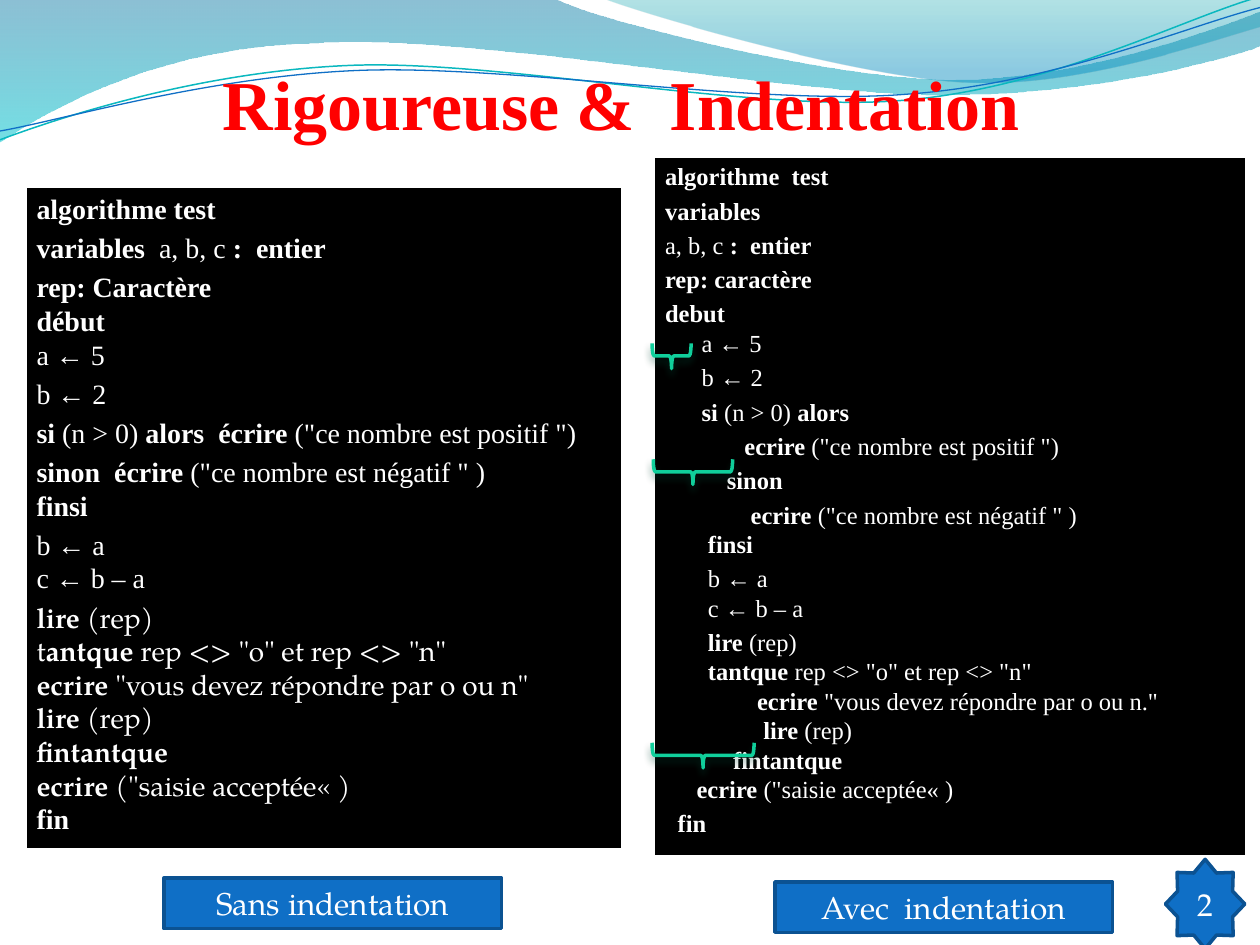
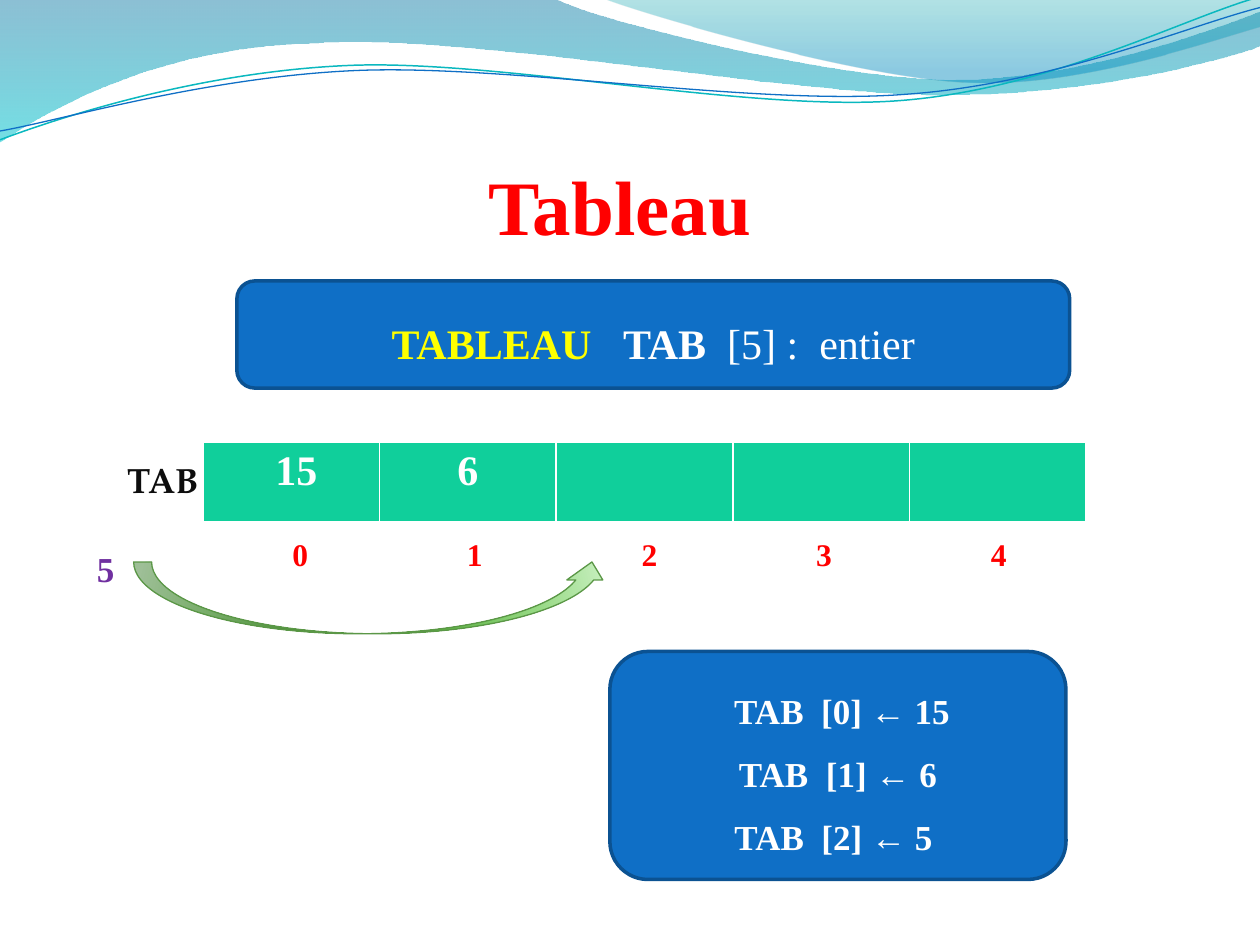
from typing import NamedTuple

from lxml.etree import SubElement
from pptx import Presentation
from pptx.dml.color import RGBColor
from pptx.enum.shapes import MSO_SHAPE
from pptx.enum.text import MSO_ANCHOR, MSO_AUTO_SIZE, PP_ALIGN
from pptx.oxml.ns import qn
from pptx.util import Inches, Pt

SERIF = "Times New Roman"
PAGELLA = "TeX Gyre Pagella"
WHITE, BLACK, RED, YELLOW = "FFFFFF", "000000", "FF0000", "FFFF00"
BLUE, DARK_BLUE, GREEN, PURPLE = "0F6FC6", "0B5292", "10CF9B", "7030A0"
LINE_FACTOR = 1.2


class CodeLine(NamedTuple):
    """One line of code; * switches bold on and off, gap adds space above."""
    text: str
    gap: bool = True
    indent: float = 0
    font: str = SERIF


UNINDENTED_CODE = [
    CodeLine("*algorithme test*"),
    CodeLine("*variables*  a, b, c *:  entier*"),
    CodeLine("*rep: Caractère*"),
    CodeLine("*début*", False),
    CodeLine("a ← 5", False),
    CodeLine("b ← 2"),
    CodeLine('*si* (n > 0) *alors  écrire* ("ce nombre est positif ")'),
    CodeLine('*sinon  écrire* ("ce nombre est négatif " )'),
    CodeLine("*finsi*", False),
    CodeLine("b ← a"),
    CodeLine("c ← b – a", False),
    CodeLine("*lire* (rep)", font=PAGELLA),
    CodeLine('t*antque* rep <> "o" et rep <> "n"', False, font=PAGELLA),
    CodeLine('*ecrire* "vous devez répondre par o ou n"', False, font=PAGELLA),
    CodeLine("*lire* (rep)", False, font=PAGELLA),
    CodeLine("*fintantque*", False, font=PAGELLA),
    CodeLine('*ecrire* ("saisie acceptée« )', False, font=PAGELLA),
    CodeLine("*fin*", False),
]

INDENTED_CODE = [
    CodeLine("*algorithme  test*"),
    CodeLine("*variables*"),
    CodeLine("a, b, c *:  entier*"),
    CodeLine("*rep: caractère*"),
    CodeLine("*debut*"),
    CodeLine("a ← 5", False, 0.29),
    CodeLine("b ← 2", True, 0.29),
    CodeLine("*si* (n > 0) *alors*", True, 0.29),
    CodeLine('*ecrire* ("ce nombre est positif ")', True, 0.63),
    CodeLine("*sinon*", True, 0.49),
    CodeLine('*ecrire* ("ce nombre est négatif " )', True, 0.68),
    CodeLine("*finsi*", False, 0.34),
    CodeLine("b ← a", True, 0.34),
    CodeLine("c ← b – a", False, 0.34),
    CodeLine("*lire* (rep)", True, 0.34),
    CodeLine('*tantque* rep <> "o" et rep <> "n"', False, 0.34),
    CodeLine('*ecrire* "vous devez répondre par o ou n."', False, 0.73),
    CodeLine("*lire* (rep)", False, 0.78),
    CodeLine("*fintantque*", False, 0.54),
    CodeLine('*ecrire* ("saisie acceptée« )', False, 0.25),
    CodeLine("*fin*", True, 0.1),
]


# Shared formatting
def color(value):
    return RGBColor.from_string(value)


def place(shape, box):
    shape.left, shape.top, shape.width, shape.height = map(Inches, box)


def format_run(run, size, value, font=SERIF, bold=False):
    run.font.name, run.font.size, run.font.bold = font, Pt(size), bold
    run.font.color.rgb = color(value)


def format_runs(paragraph, *style, **options):
    for run in paragraph.runs:
        format_run(run, *style, **options)


def paint(shape, fill=None, line=None, width=1):
    shape.shadow.inherit = False
    if fill:
        shape.fill.solid()
        shape.fill.fore_color.rgb = color(fill)
    else:
        shape.fill.background()
    if line:
        shape.line.color.rgb = color(line)
        shape.line.width = Pt(width)
    else:
        shape.line.fill.background()


def add_color(parent, value, opacity=100):
    element = SubElement(parent, qn("a:srgbClr"), val=value)
    SubElement(element, qn("a:alpha"), val=str(opacity * 1000))


def add_shadow(shape, value):
    effects = shape.element.spPr.find(qn("a:effectLst"))
    shadow = SubElement(effects, qn("a:outerShdw"), blurRad=str(Pt(4.5)),
                        dist=str(Pt(3)), dir="5400000", rotWithShape="0")
    add_color(shadow, value, 48)


def fill_gradient(shape, stops, circle=None):
    """Fill downwards, or around the circle rectangle when one is given."""
    shape.fill.background()
    properties = shape.element.spPr
    gradient = SubElement(properties, qn("a:gradFill"), rotWithShape="1")
    stop_list = SubElement(gradient, qn("a:gsLst"))
    for position, value, opacity in stops:
        stop = SubElement(stop_list, qn("a:gs"), pos=str(position * 1000))
        add_color(stop, value, opacity)
    if circle:
        around = SubElement(gradient, qn("a:path"), {"path": "circle"})
        edges = {side: str(part * 1000) for side, part in zip("ltrb", circle)}
        SubElement(around, qn("a:fillToRect"), edges)
    else:
        SubElement(gradient, qn("a:lin"), ang="5400000", scaled="1")
    properties.replace(properties.find(qn("a:noFill")), gradient)


def add_panel(slide, kind, box, fill, line, width):
    shape = slide.shapes.add_shape(kind, *map(Inches, box))
    paint(shape, fill, line, width)
    shape.text_frame.word_wrap = True
    return shape


def set_title(slide, text, box, size):
    title = slide.shapes.title
    place(title, box)
    frame = title.text_frame
    frame.text = text
    frame.auto_size = MSO_AUTO_SIZE.NONE
    frame.vertical_anchor = MSO_ANCHOR.BOTTOM
    frame.margin_left = frame.margin_right = frame.margin_bottom = 0
    frame.paragraphs[0].alignment = PP_ALIGN.CENTER
    format_runs(frame.paragraphs[0], size, RED, bold=True)


# Waves of the master
def add_outline(slide, start, segments, close):
    """Draw lines (2 numbers) and Bezier curves (6 numbers) from start."""
    points = [pair for segment in segments for pair in zip(segment[::2], segment[1::2])]
    hundredths = [(round(x * 100), round(y * 100)) for x, y in [start, *points]]
    builder = slide.shapes.build_freeform(*hundredths[0], scale=Inches(0.01))
    builder.add_line_segments(hundredths[1:], close=close)
    shape = builder.convert_to_shape()
    # Join the three points of each curve into one Bezier segment
    lines = iter(list(shape.element.iter(qn("a:lnTo"))))
    for segment in segments:
        members = [next(lines) for _ in range(len(segment) // 2)]
        if len(members) == 3:
            outline = members[0].getparent()
            curve = SubElement(outline, qn("a:cubicBezTo"))
            outline.replace(members[0], curve)
            curve.append(members[0][0])
            for member in members[1:]:
                curve.append(member[0])
                outline.remove(member)
    return shape


def add_master_waves(presentation, slide):
    bands = [
        ((0, 0), [(4.4, -0.01), (4.76, 0.17, 6.64, 0.63, 7.58, 0.63),
                  (8.53, 0.63, 9.58, 0.26, 10, 0.09), (10.01, 0.36),
                  (9.83, 0.44, 8.7, 0.76, 7.46, 0.75),
                  (6.22, 0.75, 3.82, 0.28, 2.57, 0.34),
                  (1.29, 0.36, 0.46, 0.83, -0.01, 1.13), (0, 0)],
         [(0, "0074A1", 45), (100, "00C6CF", 55)]),
        ((4.79, -0.01), [(5.09, 0.11, 6.82, 0.62, 7.69, 0.65),
                         (8.56, 0.69, 9.61, 0.32, 10, 0.21), (10, 0), (4.79, -0.01)],
         [(0, "00A1A9", 30), (80, "008BBF", 45)]),
    ]
    curves = [
        ((0, 1.11), [(0.48, 0.93, 1.58, 0.57, 2.77, 0.52),
                     (3.95, 0.47, 5.93, 0.89, 7.13, 0.8),
                     (8.33, 0.71, 9.38, 0.15, 9.98, -0.02)], "0AB8BF", 0.85),
        ((0, 1.04), [(0.47, 0.96, 1.64, 0.61, 2.83, 0.56),
                     (4.03, 0.51, 5.97, 0.84, 7.17, 0.75),
                     (8.36, 0.67, 9.41, 0.21, 10, 0.06)], BLUE, 0.75),
    ]
    waves = []
    for start, segments, stops in bands:
        band = add_outline(slide, start, segments, True)
        paint(band)
        fill_gradient(band, stops)
        waves.append(band)
    for start, segments, value, width in curves:
        curve = add_outline(slide, start, segments, False)
        paint(curve, line=value, width=width)
        waves.append(curve)
    # The master cannot draw freeforms itself, so they move there
    master_tree = presentation.slide_master.shapes.element
    for position, wave in enumerate(waves, start=2):
        master_tree.insert(position, wave.element)


# Slide 1: code with and without indentation
def start_code_paragraph(paragraph, line, size):
    paragraph.alignment = PP_ALIGN.LEFT
    paragraph.line_spacing = Pt(size * LINE_FACTOR)
    paragraph.space_before = Pt(size * 0.2 if line.gap else 0)
    properties = paragraph._p.get_or_add_pPr()
    properties.set("marL", str(Inches(line.indent)))
    properties.set("indent", "0")
    SubElement(properties, qn("a:buNone"))


def write_code(shape, lines, size):
    paint(shape, BLACK, WHITE, 3)
    frame = shape.text_frame
    frame.word_wrap = True
    frame.auto_size = MSO_AUTO_SIZE.NONE
    frame.vertical_anchor = MSO_ANCHOR.TOP
    paragraph, previous = frame.paragraphs[0], None
    for line in lines:
        if previous and not line.gap and line.indent == previous.indent:
            paragraph.add_line_break()
        else:
            paragraph = frame.add_paragraph() if previous else paragraph
            start_code_paragraph(paragraph, line, size)
        for number, piece in enumerate(line.text.split("*")):
            if piece:
                run = paragraph.add_run()
                run.text = piece
                format_run(run, size, WHITE, line.font, number % 2 == 1)
        previous = line


def add_label(slide, kind, box, text):
    label = add_panel(slide, kind, box, BLUE, DARK_BLUE, 2)
    frame = label.text_frame
    frame.text = text
    frame.vertical_anchor = MSO_ANCHOR.MIDDLE
    frame.paragraphs[0].alignment = PP_ALIGN.CENTER
    format_runs(frame.paragraphs[0], 18, WHITE, PAGELLA)


def build_indentation_slide(slide):
    set_title(slide, "Rigoureuse &  Indentation", (0.43, 0.36, 9, 0.79), 40)
    plain_code = slide.placeholders[1]
    place(plain_code, (0.19, 1.47, 4.76, 5.28))
    write_code(plain_code, UNINDENTED_CODE, 16)
    indented_code = add_panel(slide, MSO_SHAPE.RECTANGLE, (5.18, 1.23, 4.72, 5.58),
                              BLACK, WHITE, 3)
    write_code(indented_code, INDENTED_CODE, 14)
    add_label(slide, MSO_SHAPE.RECTANGLE, (1.3, 6.97, 2.68, 0.4), "Sans indentation")
    add_label(slide, MSO_SHAPE.RECTANGLE, (6.15, 7, 2.68, 0.4), "Avec  indentation")
    # Braces that measure the indents
    for left, top, length in [(5.23, 2.67, 0.31), (5.4, 3.43, 0.63), (5.48, 5.59, 0.81)]:
        brace = add_panel(slide, MSO_SHAPE.LEFT_BRACE, (left, top, 0.2, length),
                          None, GREEN, 2)
        brace.rotation = 270
        add_shadow(brace, "044A37")
    add_label(slide, MSO_SHAPE.STAR_8_POINT, (9.25, 6.82, 0.63, 0.71), "2")


# Slide 2: the array
def add_row(slide, box, values, fill, size, value):
    shape = slide.shapes.add_table(1, len(values), *map(Inches, box))
    for cell, text in zip(shape.table.rows[0].cells, values):
        cell.fill.solid()
        cell.fill.fore_color.rgb = color(fill)
        cell.text = text
        cell.text_frame.paragraphs[0].alignment = PP_ALIGN.CENTER
        format_runs(cell.text_frame.paragraphs[0], size, value, bold=True)


def add_statement_box(slide, box, text, size):
    shape = add_panel(slide, MSO_SHAPE.ROUNDED_RECTANGLE, box, BLUE, DARK_BLUE, 2)
    frame = shape.text_frame
    frame.text = text
    frame.vertical_anchor = MSO_ANCHOR.TOP
    for paragraph in frame.paragraphs:
        paragraph.alignment = PP_ALIGN.CENTER
        paragraph.line_spacing = Pt(1.5 * LINE_FACTOR * size)
        format_runs(paragraph, size, WHITE, bold=True)
    return frame.paragraphs[0]


def add_note(slide, box, text, value, font):
    frame = slide.shapes.add_textbox(*map(Inches, box)).text_frame
    frame.word_wrap = True
    frame.text = text
    format_runs(frame.paragraphs[0], 20, value, font, bold=True)


def build_array_slide(slide):
    set_title(slide, "Tableau", (0.42, 0.74, 9, 1.25), 44)
    add_row(slide, (1.61, 3.51, 7.01, 0.63), [" 15", "6", "", "", ""], GREEN, 24, WHITE)
    declaration = add_statement_box(slide, (1.88, 2.23, 6.61, 0.85), "TABLEAU   ", 24)
    for text in ("TAB", "  [5] :  entier"):
        declaration.add_run().text = text
    format_runs(declaration, 24, WHITE, bold=True)
    declaration.runs[0].font.color.rgb = color(YELLOW)
    declaration.runs[2].font.bold = False
    add_row(slide, (1.69, 4.22, 6.93, 0.41), [str(index) for index in range(5)],
            WHITE, 18, RED)
    add_statement_box(slide, (4.84, 5.17, 3.62, 1.81),
                      " TAB  [0] ← 15\nTAB  [1] ← 6\nTAB  [2] ← 5 ", 20)
    add_note(slide, (0.91, 3.59, 0.79, 0.44), "TAB", "0D0D0D", PAGELLA)
    add_note(slide, (0.67, 4.3, 0.55, 0.44), "5", PURPLE, SERIF)
    # Arrow from the value to its cell
    arrow = add_panel(slide, MSO_SHAPE.CURVED_DOWN_ARROW, (1.06, 4.46, 3.78, 0.57),
                      None, "5B9747", 0.75)
    fill_gradient(arrow, [(0, "319811", 100), (68, "95D882", 100), (100, "C6EFBD", 100)],
                  circle=(50, 130, 50, -30))
    arrow.rotation = 180
    arrow.element.spPr.xfrm.set("flipH", "1")


def main():
    presentation = Presentation()
    presentation.slide_width, presentation.slide_height = Inches(10), Inches(7.5)
    layouts = presentation.slide_layouts
    indentation_slide = presentation.slides.add_slide(layouts.get_by_name("Title and Content"))
    add_master_waves(presentation, indentation_slide)
    build_indentation_slide(indentation_slide)
    build_array_slide(presentation.slides.add_slide(layouts.get_by_name("Title Only")))
    presentation.save("out.pptx")


if __name__ == "__main__":
    main()
